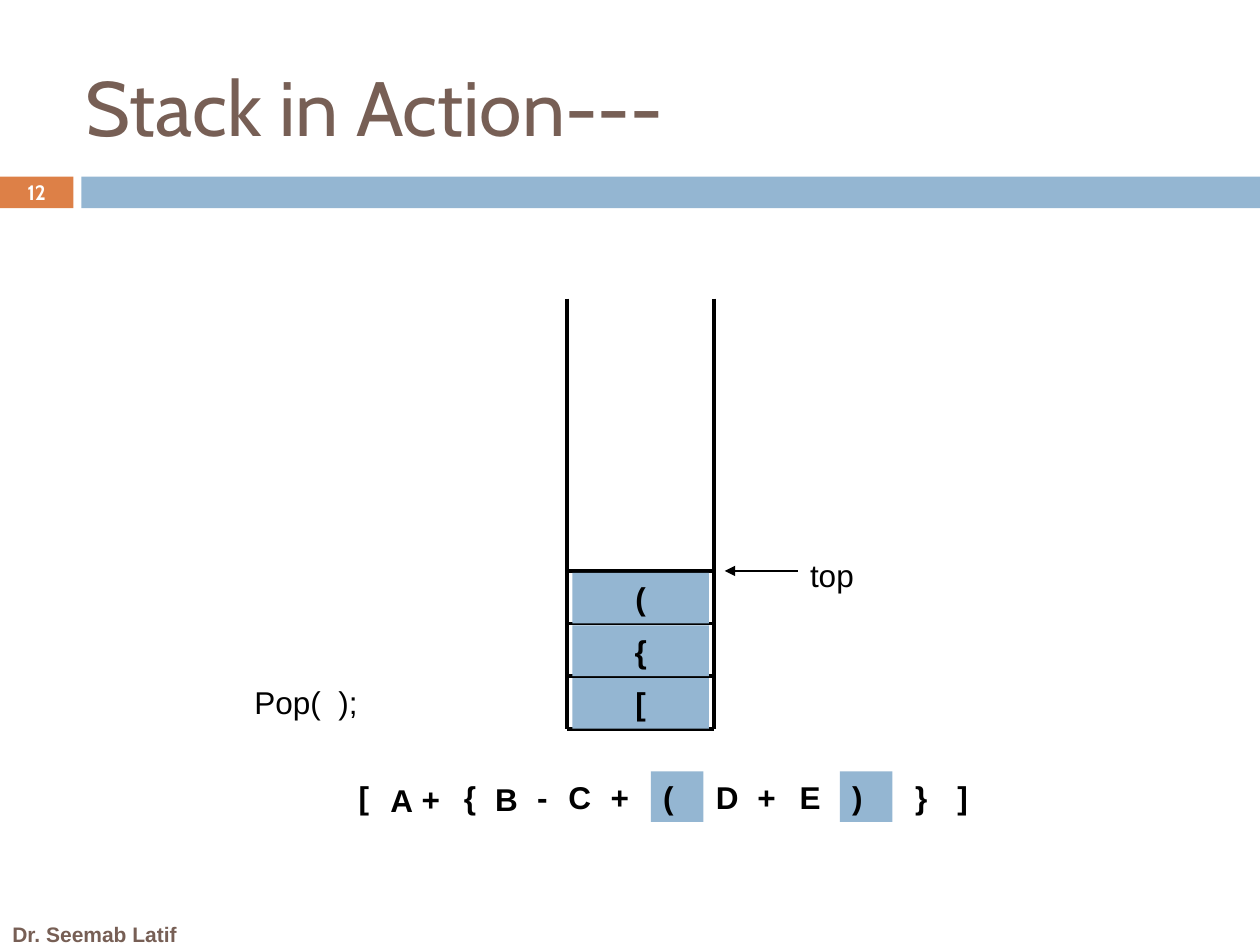
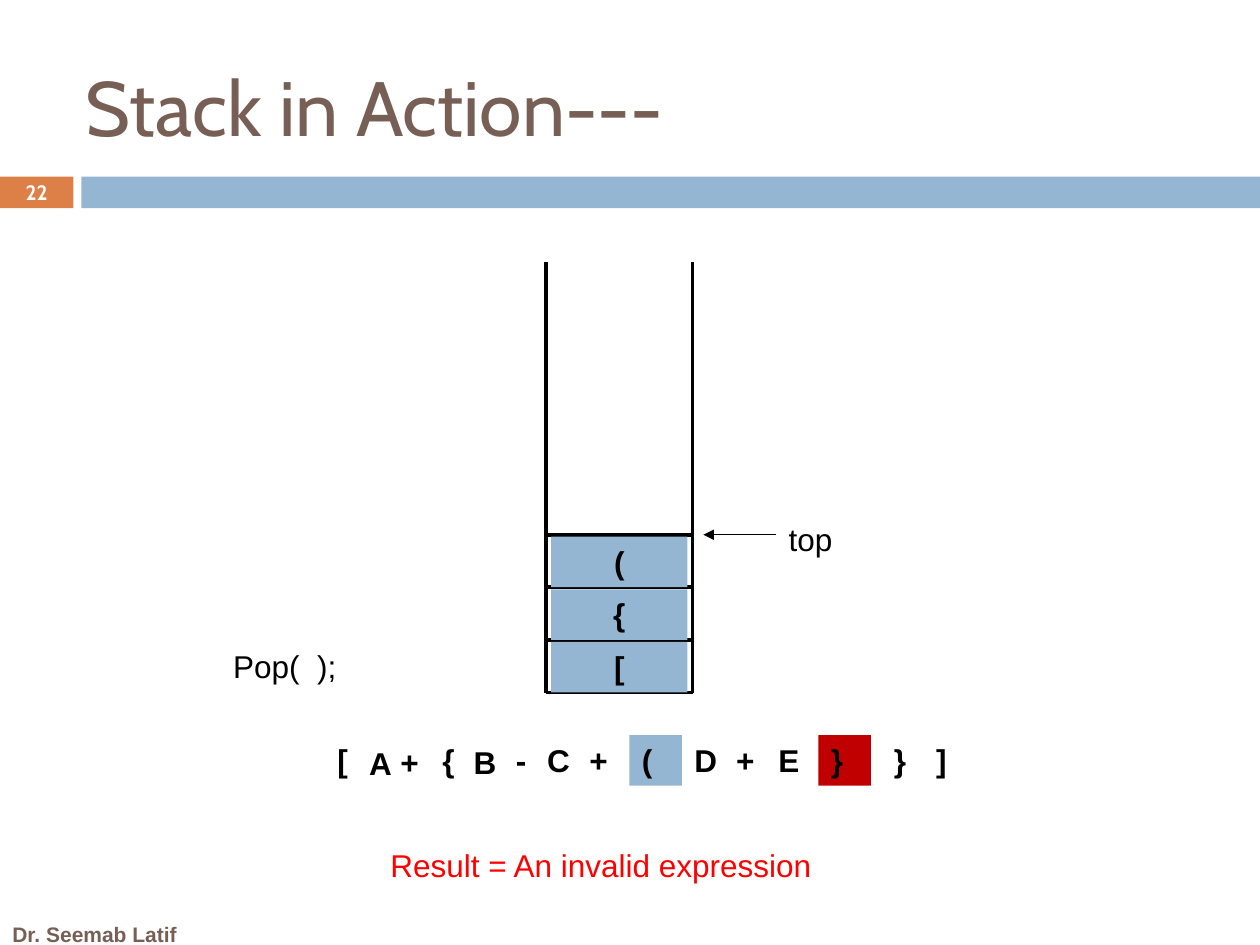
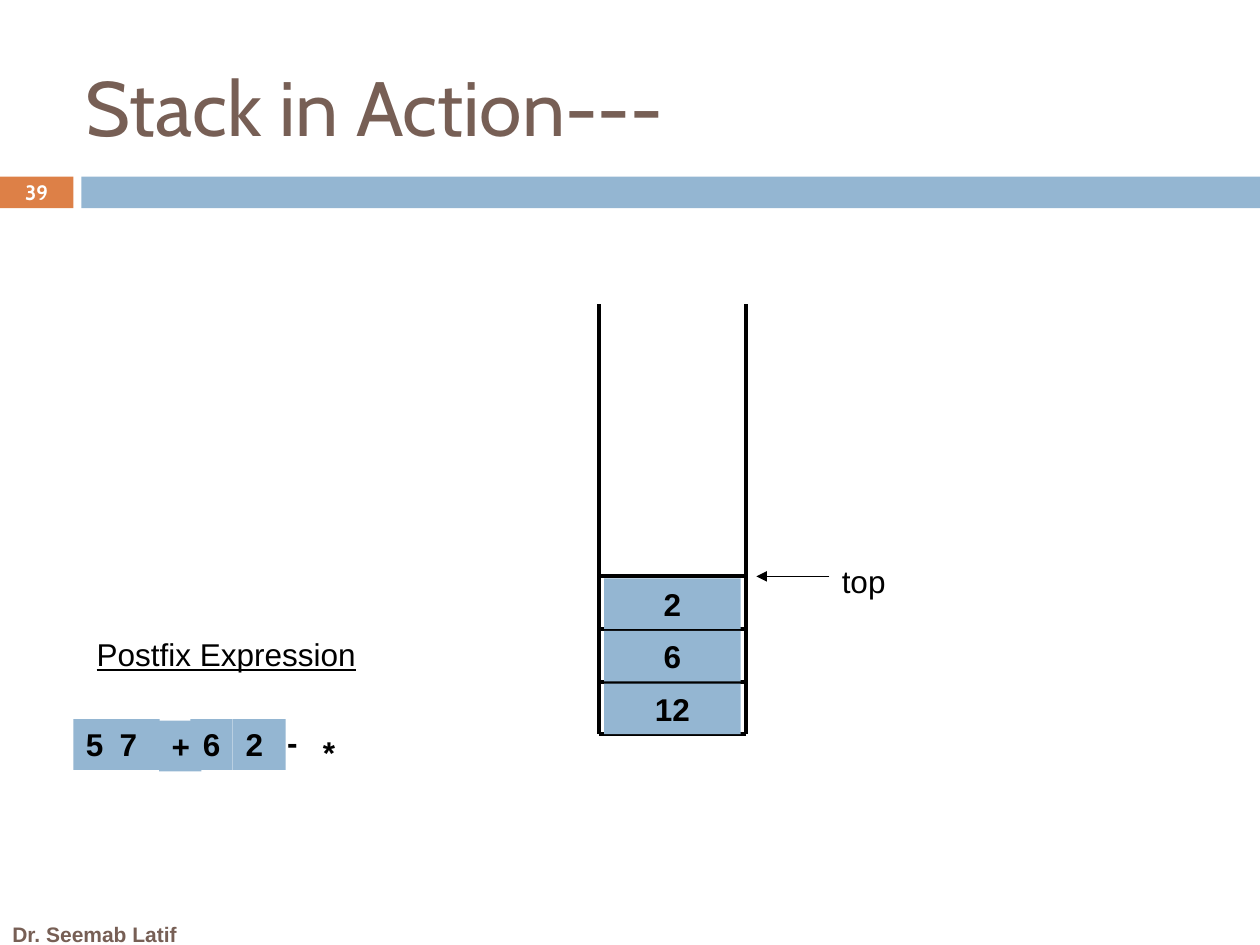
import dataclasses

import pptx
import pptx.dml.color
import pptx.enum.shapes
import pptx.enum.text
import pptx.oxml.ns
import pptx.util
from lxml import etree

Cm = pptx.util.Cm
Pt = pptx.util.Pt
ALIGN = pptx.enum.text.PP_ALIGN
ANCHOR = pptx.enum.text.MSO_ANCHOR

COLORS = {
    "ink": "000000",
    "brown": "775F55",
    "blue": "94B6D2",
    "orange": "DD8047",
    "white": "FFFFFF",
    "wrong": "C00000",
    "alert": "FF0000",
}
ROW = 1.02    # height of one line of 18 pt text
STEP = 1.06   # distance between stack levels
WIDTH = 2.96  # stack width
DEPTH = 8.67  # stack height


@dataclasses.dataclass
class Style:
    size: float = 18
    face: str = "Arial"
    color: str = "ink"
    bold: bool = False
    under: bool = False
    align: ALIGN = ALIGN.LEFT
    anchor: ANCHOR = ANCHOR.TOP


@dataclasses.dataclass
class Token:
    """One symbol of an expression, placed from the expression's corner."""
    text: str
    x: float
    y: float = 0
    width: float = 1.06
    fill: str | None = None


@dataclasses.dataclass
class Page:
    number: int
    left: float
    top: float
    cells: list[str]  # bottom first


PLAIN = Style()
BOLD = Style(bold=True)
CELL = Style(bold=True, align=ALIGN.CENTER)
TITLE = Style(44, "Cabin", "brown")
NUMBER = Style(11.9, "Cabin", "white", bold=True, align=ALIGN.CENTER,
               anchor=ANCHOR.MIDDLE)
FOOTER = Style(12, color="brown", bold=True, anchor=ANCHOR.MIDDLE)


def tint(name: str) -> pptx.dml.color.RGBColor:
    return pptx.dml.color.RGBColor.from_string(COLORS[name])


def add_rect(slide, x: float, y: float, width: float, height: float, fill: str):
    shape = slide.shapes.add_shape(
        pptx.enum.shapes.MSO_SHAPE.RECTANGLE, Cm(x), Cm(y), Cm(width), Cm(height))
    shape.shadow.inherit = False
    shape.fill.solid()
    shape.fill.fore_color.rgb = tint(fill)
    shape.line.fill.background()
    return shape


def add_text(slide, text: str, x: float, y: float, width: float,
             height: float = ROW, style: Style = PLAIN,
             fill: str | None = None) -> None:
    if fill:
        shape = add_rect(slide, x, y, width, height, fill)
    else:
        shape = slide.shapes.add_textbox(Cm(x), Cm(y), Cm(width), Cm(height))
    frame = shape.text_frame
    frame.word_wrap = True
    frame.vertical_anchor = style.anchor
    para = frame.paragraphs[0]
    para.text = text
    para.alignment = style.align
    font = para.font
    font.name = style.face
    font.size = Pt(style.size)
    font.bold = style.bold
    font.underline = style.under
    font.color.rgb = tint(style.color)


def add_line(slide, x1: float, y1: float, x2: float, y2: float,
             weight: float = 2.25, arrow: bool = False) -> None:
    line = slide.shapes.add_connector(
        pptx.enum.shapes.MSO_CONNECTOR.STRAIGHT, Cm(x1), Cm(y1), Cm(x2), Cm(y2))
    line.line.width = Pt(weight)
    line.line.color.rgb = tint("ink")
    if arrow:
        etree.SubElement(line.line._get_or_add_ln(),
                         pptx.oxml.ns.qn("a:tailEnd"), type="triangle")
    etree.SubElement(line._element.spPr, pptx.oxml.ns.qn("a:effectLst"))


def add_frame(slide, number: int) -> None:
    """Draw the bands, footer, title and slide number."""
    add_rect(slide, 0, 3.56, 1.48, 0.64, "orange")
    add_rect(slide, 1.64, 3.56, 23.76, 0.64, "blue")
    add_text(slide, "Dr. Seemab Latif", 0, 18.42, 4.65, 0.81, FOOTER)
    add_text(slide, "Stack in Action---", 1.48, 1.07, 16.72, 2.13, TITLE)
    add_text(slide, str(number), 0, 3.53, 1.48, 0.69, NUMBER)


def add_stack(slide, left: float, top: float, cells: list[str]) -> None:
    right, base = left + WIDTH, top + DEPTH
    for x in (left, right):
        add_line(slide, x, top, x, base)
    add_line(slide, left, base, right, base)
    level = base
    for cell in cells:
        level -= STEP
        add_line(slide, left, level, right, level)
        add_text(slide, cell, left + 0.11, level + 0.04, 2.75,
                 style=CELL, fill="blue")
    add_text(slide, "top", left + 4.65, level - 0.42, 3.81)
    add_line(slide, left + 4.65, level, left + 3.18, level, 0.75, arrow=True)


def add_tokens(slide, x: float, y: float, tokens: list[Token]) -> None:
    for token in tokens:
        add_text(slide, token.text, x + token.x, y + token.y, token.width,
                 style=BOLD, fill=token.fill)


def add_match(slide, page: Page, closer: str, fill: str) -> None:
    """Draw the pop call and the bracketed expression around the stack."""
    add_text(slide, "Pop(  );", page.left - 6.55, page.top + 7.62, 4.01)
    add_tokens(slide, page.left - 4.45, page.top + 9.53, [
        Token("[", 0), Token("A", 0.64, 0.06), Token("+", 1.27, 0.04),
        Token("{", 2.12), Token("B", 2.75, 0.04), Token("-", 3.6),
        Token("C", 4.23), Token("+", 5.08), Token("(", 6.14, fill="blue"),
        Token("D", 7.2), Token("+", 8.04), Token("E", 8.89),
        Token(closer, 9.95, fill=fill), Token("}", 11.22), Token("]", 12.07),
    ])


def add_postfix(slide) -> None:
    add_text(slide, "Postfix Expression", 1.7, 12.67, 6.99,
             style=Style(under=True))
    add_tokens(slide, 1.48, 14.5, [
        Token("5", 0, width=0.85, fill="blue"),
        Token("7", 0.68, fill="blue"),
        Token("+", 1.73, 0.03, 0.85, "blue"),
        Token("6", 2.36, width=0.85, fill="blue"),
        Token("2", 3.22, fill="blue"),
        Token("-", 4.06, -0.05),
        Token("*", 4.78, 0.15),
    ])


def main() -> None:
    deck = pptx.Presentation()
    deck.slide_width, deck.slide_height = Cm(25.4), Cm(19.05)

    def start(page: Page):
        slide = deck.slides.add_slide(deck.slide_layouts[6])
        add_frame(slide, page.number)
        add_stack(slide, page.left, page.top, page.cells)
        return slide

    valid = Page(12, 11.43, 6.02, ["[", "{", "("])
    add_match(start(valid), valid, ")", "blue")

    wrong = Page(22, 11, 5.29, ["[", "{", "("])
    slide = start(wrong)
    add_match(slide, wrong, "}", "wrong")
    add_text(slide, "Result = An invalid expression", 7.62, 16.94, 11.43,
             style=Style(color="alert"))

    add_postfix(start(Page(39, 12.07, 6.13, ["12", "6", "2"])))
    deck.save("out.pptx")


if __name__ == "__main__":
    main()
